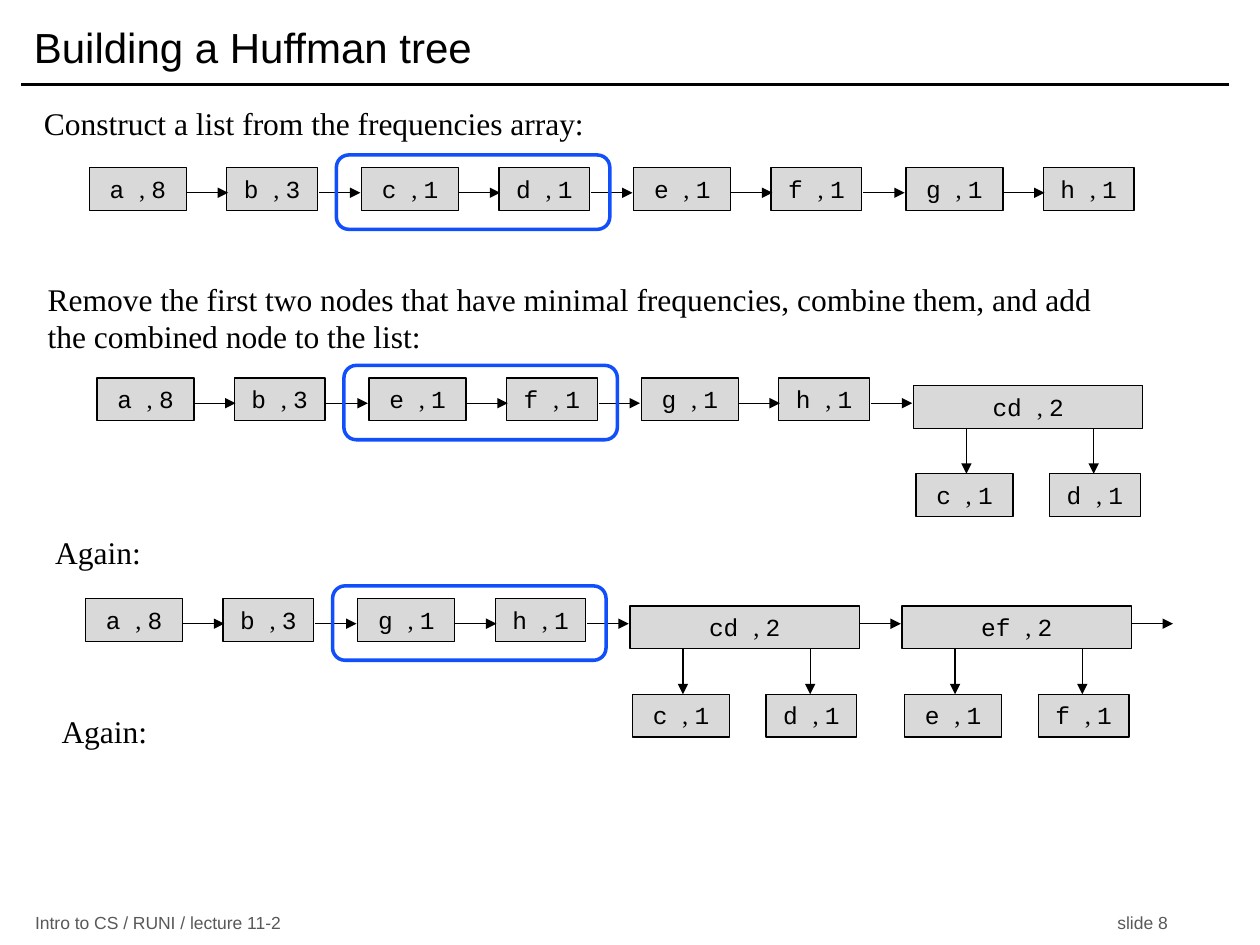
from dataclasses import dataclass

from lxml import etree
from pptx import Presentation
from pptx.dml.color import RGBColor
from pptx.enum.shapes import MSO_CONNECTOR as Connector, MSO_SHAPE as Shape
from pptx.enum.text import MSO_ANCHOR as Anchor, PP_ALIGN as Align
from pptx.oxml.ns import qn
from pptx.util import Inches, Pt

BLACK, GREY, NODE_FILL, BLUE = "000000", "595959", "D9D9D9", "114FFB"
SANS, SERIF, MONO = "Arial", "Times New Roman", "Courier New"

# Node geometry in inches: wide and narrow nodes alternate along a list
WIDE, NARROW, TREE_WIDTH, NODE_HEIGHT = 0.77, 0.72, 1.82, 0.34
NARROW_OFFSET, PAIR_PITCH, ARROW_LENGTH = 1.09, 2.16, 0.33
ARROW_DROP, TREE_DROP, CHILD_DROP = 0.2, 0.06, 0.7


@dataclass(frozen=True)
class Caption:
    text: str
    left: float
    top: float
    height: float = 0.4


@dataclass(frozen=True)
class Tree:
    root: str
    children: tuple[str, str]


@dataclass(frozen=True)
class NodeList:
    left: float
    top: float
    leaves: tuple[str, ...]
    trees: tuple[Tree, ...] = ()
    framed: bool = True
    open_end: bool = False


CAPTIONS = (
    Caption("Construct a list from the frequencies array:", 0.25, 0.78),
    Caption("Remove the first two nodes that have minimal frequencies, combine them, "
            "and add the combined node to the list:", 0.28, 2.17, 0.71),
    Caption("Again:", 0.34, 4.18),
    Caption("Again:", 0.39, 5.6),
)
CD = Tree("cd,2", ("c,1", "d,1"))
EF = Tree("ef,2", ("e,1", "f,1"))
NODE_LISTS = (
    NodeList(0.71, 1.33, ("a,8", "b,3", "c,1", "d,1", "e,1", "f,1", "g,1", "h,1")),
    NodeList(0.77, 3.0, ("a,8", "b,3", "e,1", "f,1", "g,1", "h,1"), (CD,)),
    NodeList(0.68, 4.75, ("a,8", "b,3", "g,1", "h,1"), (CD, EF), open_end=True),
)


def colour(value: str) -> RGBColor:
    return RGBColor.from_string(value)


def style(font, name: str, size: float, value: str = BLACK) -> None:
    font.name, font.size = name, Pt(size)
    font.color.rgb = colour(value)


def add_text(page, text: str, left: float, top: float, width: float, height: float,
             name: str, size: float, value: str = BLACK, anchor=Anchor.TOP,
             tab: float = 0) -> None:
    box = page.shapes.add_textbox(Inches(left), Inches(top), Inches(width), Inches(height))
    frame = box.text_frame
    frame.word_wrap = True
    frame.vertical_anchor = anchor
    para = frame.paragraphs[0]
    para.text = text
    if tab:
        stops = etree.SubElement(para._p.get_or_add_pPr(), qn("a:tabLst"))
        etree.SubElement(stops, qn("a:tab"), pos=str(Inches(tab)), algn="l")
    for span in para.runs:
        style(span.font, name, size, value)


def add_line(page, start: tuple[float, float], end: tuple[float, float],
             width: float = 0.75, arrow: bool = True) -> None:
    line = page.shapes.add_connector(
        Connector.STRAIGHT, *(Inches(value) for value in (*start, *end)))
    line.line.color.rgb = colour(BLACK)
    line.line.width = Pt(width)
    if arrow:
        etree.SubElement(line.line._get_or_add_ln(), qn("a:tailEnd"), type="triangle")
    etree.SubElement(line._element.spPr, qn("a:effectLst"))


def add_node(page, label: str, left: float, top: float, width: float) -> None:
    node = page.shapes.add_shape(Shape.RECTANGLE, Inches(left), Inches(top),
                                 Inches(width), Inches(NODE_HEIGHT))
    node.shadow.inherit = False
    node.fill.solid()
    node.fill.fore_color.rgb = colour(NODE_FILL)
    node.line.color.rgb = colour(BLACK)
    node.line.width = Pt(0.75)
    node.text_frame.vertical_anchor = Anchor.TOP
    para = node.text_frame.paragraphs[0]
    para.alignment = Align.CENTER
    symbol, count = label.split(",")
    for text, name in ((f"{symbol} ", MONO), (", ", SERIF), (count, MONO)):
        span = para.add_run()
        span.text = text
        style(span.font, name, 14)


def add_pair(page, labels: tuple[str, ...], left: float, top: float, offset: float) -> None:
    add_node(page, labels[0], left, top, WIDE)
    add_node(page, labels[1], left + offset, top, NARROW)


def add_tree(page, tree: Tree, left: float, top: float) -> None:
    add_node(page, tree.root, left, top, TREE_WIDTH)
    add_pair(page, tree.children, left + 0.02, top + CHILD_DROP, 1.06)
    for offset in (0.42, 1.43):
        add_line(page, (left + offset, top + NODE_HEIGHT), (left + offset, top + CHILD_DROP))


def add_link(page, left: float, top: float) -> None:
    add_line(page, (left, top + ARROW_DROP), (left + ARROW_LENGTH, top + ARROW_DROP))


def add_frame(page, left: float, top: float) -> None:
    frame = page.shapes.add_shape(Shape.ROUNDED_RECTANGLE, Inches(left), Inches(top),
                                  Inches(2.17), Inches(0.59))
    frame.shadow.inherit = False
    frame.fill.background()
    frame.line.color.rgb = colour(BLUE)
    frame.line.width = Pt(2)


def add_node_list(page, nodes: NodeList) -> None:
    pairs = len(nodes.leaves) // 2
    units = pairs + len(nodes.trees)
    for index in range(units):
        left = nodes.left + index * PAIR_PITCH
        if index < pairs:
            add_pair(page, nodes.leaves[2 * index:2 * index + 2], left, nodes.top,
                     NARROW_OFFSET)
            add_link(page, left + WIDE, nodes.top)
        else:
            add_tree(page, nodes.trees[index - pairs], left, nodes.top + TREE_DROP)
        if index < units - 1 or nodes.open_end:
            add_link(page, left + TREE_WIDTH, nodes.top)
    # The second pair holds the two minimal nodes
    if nodes.framed:
        add_frame(page, nodes.left + PAIR_PITCH - 0.2, nodes.top - 0.1)


def main() -> None:
    deck = Presentation()
    deck.slide_width, deck.slide_height = Inches(10), Inches(7.5)
    page = deck.slides.add_slide(deck.slide_layouts[6])

    # Title, rule and footer
    add_line(page, (0.17, 0.67), (9.75, 0.67), width=2, arrow=False)
    add_text(page, "Building a Huffman tree", 0.17, 0.08, 9.58, 0.58, SANS, 24,
             anchor=Anchor.MIDDLE)
    add_text(page, "Intro to CS / RUNI / lecture 11-2\tslide 8", 0.18, 7.23, 9.42, 0.19,
             SANS, 10, GREY, Anchor.MIDDLE, tab=8.59)

    # Captions and the lists they describe
    for caption in CAPTIONS:
        add_text(page, caption.text, caption.left, caption.top, 8.76, caption.height,
                 SERIF, 18)
    for nodes in NODE_LISTS:
        add_node_list(page, nodes)

    deck.save("out.pptx")


if __name__ == "__main__":
    main()
